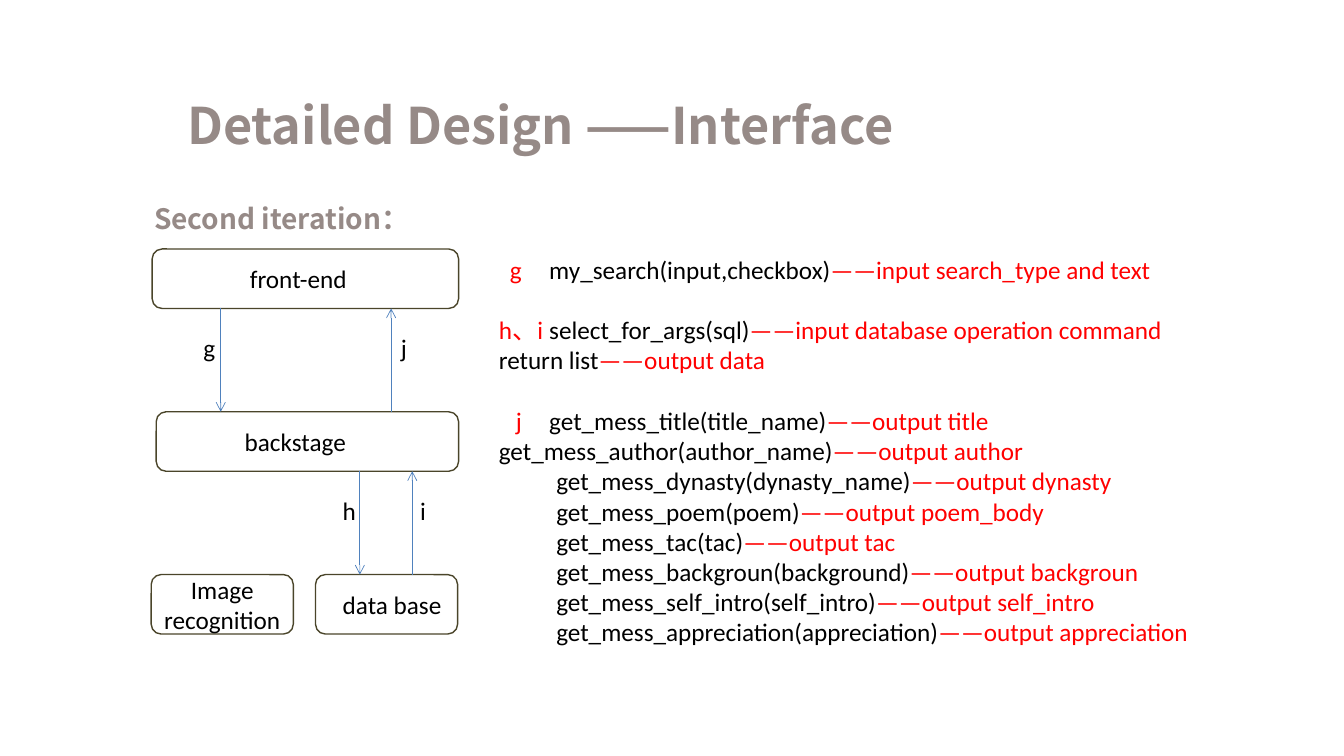
import pptx
import pptx.dml.color
import pptx.enum.shapes
import pptx.enum.text
import pptx.oxml.ns
import pptx.util
from lxml import etree

# Lengths are counted in columns and rows of a square grid, 0.1 inch a cell
CELL = pptx.util.Inches(0.1)
SLIDE_COLUMNS, SLIDE_ROWS = 133.33, 75

TAUPE = pptx.dml.color.RGBColor(0x96, 0x8A, 0x87)
OLIVE = pptx.dml.color.RGBColor(0x4A, 0x45, 0x2A)
BLUE = pptx.dml.color.RGBColor(0x4F, 0x81, 0xBD)
RED = pptx.dml.color.RGBColor(0xFF, 0x00, 0x00)
BLACK = pptx.dml.color.RGBColor(0x00, 0x00, 0x00)
BODY_FONT = "Calibri"
HEADING_FONT = "Noto Sans CJK SC"

# Label, indent of the first line, tab stop, call, comment, starts a group
CALLS = [
    ("g", 1.1, 5.7, "my_search(input,checkbox)", "input search_type and text", False),
    ("h、i", 0, 6.8, "select_for_args(sql)", "input database operation command", True),
    ("", 0, 0, "return list", "output data", False),
    ("j", 1.7, 5.7, "get_mess_title(title_name)", "output title", True),
    ("", 0, 0, "get_mess_author(author_name)", "output author", False),
] + [
    ("", 5.7, 0, f"get_mess_{call}", f"output {comment}", False)
    for call, comment in [
        ("dynasty(dynasty_name)", "dynasty"),
        ("poem(poem)", "poem_body"),
        ("tac(tac)", "tac"),
        ("backgroun(background)", "backgroun"),
        ("self_intro(self_intro)", "self_intro"),
        ("appreciation(appreciation)", "appreciation"),
    ]
]


def cells(*counts):
    return [round(count * CELL) for count in counts]


def add_run(paragraph, text, size=18, font=BODY_FONT, color=BLACK, bold=False):
    run = paragraph.add_run()
    run.text = text
    run.font.size = pptx.util.Pt(size)
    run.font.name = font
    run.font.bold = bold
    run.font.color.rgb = color
    if font == HEADING_FONT:
        east_asian = etree.SubElement(run.font._element, pptx.oxml.ns.qn("a:ea"))
        east_asian.set("typeface", font)


def add_text_box(slide, box):
    frame = slide.shapes.add_textbox(*cells(*box)).text_frame
    frame.word_wrap = True
    return frame


def add_text(slide, box, text, **text_format):
    add_run(add_text_box(slide, box).paragraphs[0], text, **text_format)


def add_node(slide, box, text, inset_left=0, inset_right=0):
    node = slide.shapes.add_shape(
        pptx.enum.shapes.MSO_SHAPE.FLOWCHART_ALTERNATE_PROCESS, *cells(*box))
    node.shadow.inherit = False
    node.fill.background()
    node.line.color.rgb = OLIVE
    node.line.width = pptx.util.Pt(1)
    frame = node.text_frame
    frame.word_wrap = True
    frame.margin_left, frame.margin_right = cells(inset_left, inset_right)
    frame.margin_top = frame.margin_bottom = 0
    frame.vertical_anchor = pptx.enum.text.MSO_ANCHOR.MIDDLE
    frame.paragraphs[0].alignment = pptx.enum.text.PP_ALIGN.CENTER
    add_run(frame.paragraphs[0], text)


def add_arrow(slide, column, start_row, end_row):
    arrow = slide.shapes.add_connector(
        pptx.enum.shapes.MSO_CONNECTOR.STRAIGHT,
        *cells(column, start_row, column, end_row))
    arrow.line.color.rgb = BLUE
    arrow.line.width = pptx.util.Pt(0.5)
    line = arrow.line._get_or_add_ln()
    etree.SubElement(line, pptx.oxml.ns.qn("a:tailEnd")).set("type", "arrow")
    etree.SubElement(arrow._element.spPr, pptx.oxml.ns.qn("a:effectLst"))


def add_headings(slide, box):
    left, top, width, height = box
    heading = {"font": HEADING_FONT, "color": TAUPE, "bold": True}
    add_text(slide, (left + 3.3, top, width - 3.3, 7.1),
             "Detailed Design ——Interface", size=36, **heading)
    add_text(slide, (left, top + height - 4.4, 34.8, 4.4),
             "Second iteration：", size=20, **heading)


def add_architecture(slide, box):
    left, top, width, height = box
    node_height = 5.9
    small_width = 14.1
    row_step = (height - node_height) / 2
    backstage_top, storage_top = top + row_step, top + 2 * row_step

    # Layers, from the user down to the storage
    add_node(slide, (left + 0.1, top, width - 0.1, node_height),
             "front-end", inset_right=1.4)
    add_node(slide, (left + 0.5, backstage_top, width - 0.5, node_height),
             "backstage", inset_right=2.4)
    add_node(slide, (left, storage_top, small_width, node_height),
             "Image recognition")
    add_node(slide, (left + width - small_width - 0.1, storage_top,
                     small_width, node_height), "data base", inset_left=1.1)

    # Calls between layers: label, column, label offset, upper layer, upwards
    for label, column, offset, layer_top, upwards in [
        ("g", 6.9, -2.7, top, False),
        ("j", 23.8, 0, top, True),
        ("h", 20.7, -2.7, backstage_top, False),
        ("i", 25.9, -0.2, backstage_top, True),
    ]:
        ends = [layer_top + node_height, layer_top + row_step]
        add_arrow(slide, left + column, *(reversed(ends) if upwards else ends))
        middle = sum(ends) / 2
        add_text(slide, (left + column + offset, middle - 3.2, 2.7, 4), label)


def add_call_list(slide, box):
    frame = add_text_box(slide, box)
    for number, (label, indent, tab, call, comment, starts_group) in enumerate(CALLS):
        paragraph = frame.add_paragraph() if number else frame.paragraphs[0]
        properties = paragraph._element.get_or_add_pPr()
        properties.set("marL", "0")
        properties.set("indent", str(cells(indent)[0]))
        if starts_group:
            paragraph.space_before = pptx.util.Pt(21.6)
        if label:
            tabs = etree.SubElement(properties, pptx.oxml.ns.qn("a:tabLst"))
            etree.SubElement(tabs, pptx.oxml.ns.qn("a:tab"),
                             pos=str(cells(tab)[0]), algn="l")
            add_run(paragraph, label + "\t", color=RED)
        add_run(paragraph, call)
        add_run(paragraph, "——" + comment, color=RED)


def main():
    presentation = pptx.Presentation()
    presentation.slide_width, presentation.slide_height = cells(SLIDE_COLUMNS, SLIDE_ROWS)
    slide = presentation.slides.add_slide(presentation.slide_layouts[6])
    add_headings(slide, (14.3, 8.8, 85.3, 15.1))
    add_architecture(slide, (15, 24.7, 30.5, 38.2))
    add_call_list(slide, (48.5, 24.7, 84.8, 40.4))
    presentation.save("out.pptx")


if __name__ == "__main__":
    main()
